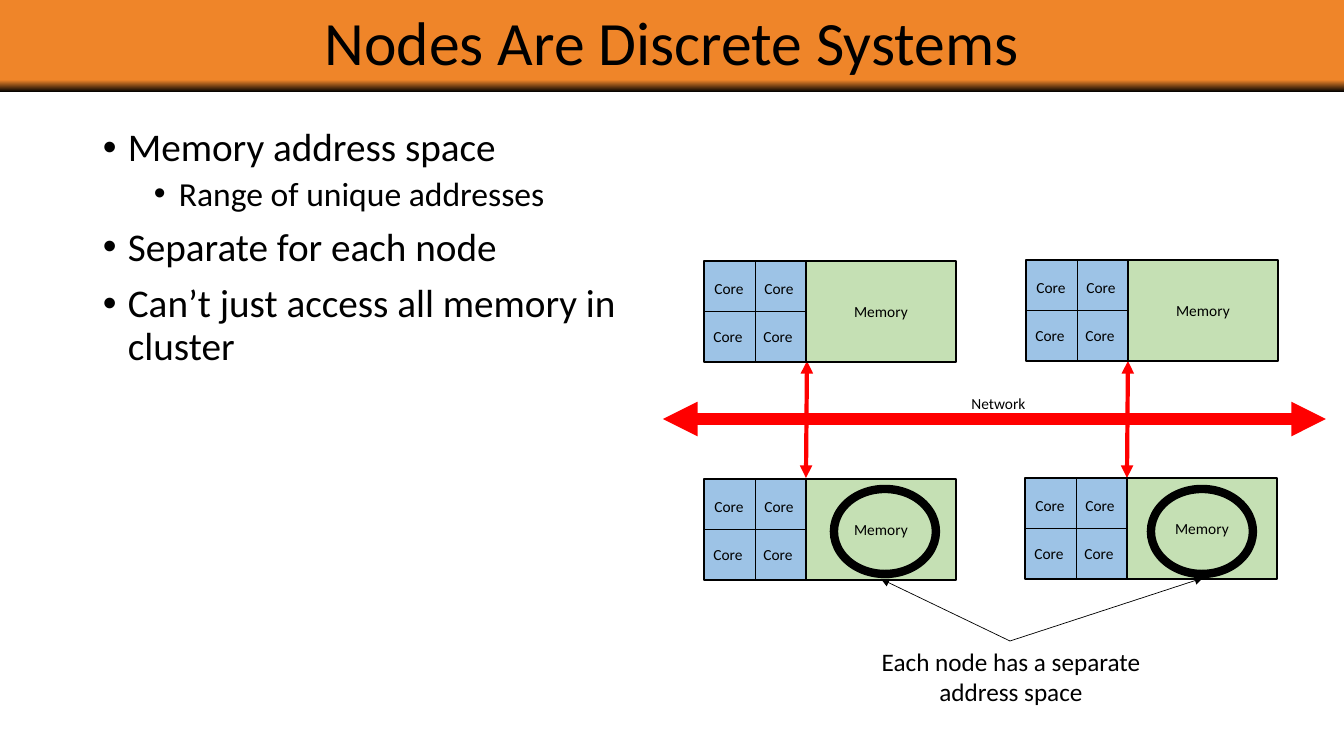
from dataclasses import dataclass

from lxml import etree
from pptx import Presentation
from pptx.dml.color import RGBColor
from pptx.enum.shapes import MSO_CONNECTOR, MSO_SHAPE
from pptx.enum.text import MSO_ANCHOR, MSO_AUTO_SIZE, PP_ALIGN
from pptx.oxml.ns import qn
from pptx.util import Emu, Pt

RECTANGLE, ELLIPSE = MSO_SHAPE.RECTANGLE, MSO_SHAPE.OVAL
STRAIGHT = MSO_CONNECTOR.STRAIGHT
CENTER, LEFT = PP_ALIGN.CENTER, PP_ALIGN.LEFT
TOP, MIDDLE = MSO_ANCHOR.TOP, MSO_ANCHOR.MIDDLE
NO_AUTOFIT = MSO_AUTO_SIZE.NONE

# Content
TITLE = "Nodes Are Discrete Systems"
BULLETS = [
    (0, "Memory address space"),
    (1, "Range of unique addresses"),
    (0, "Separate for each node"),
    (0, "Can’t just access all memory in cluster"),
]
CORE, MEMORY, NETWORK = "Core", "Memory", "Network"
CAPTION = "Each node has a separate address space"

# Geometry in px
SLIDE = (1344, 756)
BAND = (0, 0, 1344, 92)
BODY = (93, 123, 597, 558)
CAPTION_BOX = (846, 641, 330, 72)
NETWORK_BOX = (936, 387, 125, 32)
NODES = [(704, 261), (704, 479), (1025, 478), (1026, 260)]
CORES_WIDTH, MEMORY_WIDTH, NODE_HEIGHT = 102, 150, 101
CORE_LABEL = (50, 29)
CORE_LABEL_TOP, CORE_PITCH = 13, (50, 48)
NETWORK_LINKS = [((807, 361), (806, 478)), ((1128, 361), (1127, 478))]
BACKBONE = ((1326, 419), (663, 419))
CALLOUT_START = (1010, 641)
CALLOUT_ENDS = [(881, 579), (1203, 578)]
RINGS = [(834, 489, 102, 85), (1151, 489, 102, 85)]
BULLET_INDENTS, HANGING = (25, 76), 25


@dataclass(frozen=True)
class Theme:
    font: str = "Calibri"
    ink: str = "000000"
    band: str = "EF8529"
    cores: str = "9DC3E6"
    memory: str = "C5E0B4"
    network: str = "FF0000"
    title: int = 44
    bullets: tuple = (28, 24)
    bullet_gaps: tuple = (10, 5)
    caption: int = 18
    label: int = 11
    hairline: float = 0.5
    outline: float = 1
    link: float = 3
    ring: float = 6
    backbone: float = 8.25


THEME = Theme()


def px(length):
    return Emu(round(length * 914400 / 100.8))


def place(shape, area):
    shape.left, shape.top, shape.width, shape.height = map(px, area)


def format_spans(para, size):
    for span in para.runs:
        span.font.name = THEME.font
        span.font.size = Pt(size)
        span.font.color.rgb = RGBColor.from_string(THEME.ink)


def write(shape, text, size, anchor=TOP, margins=None, wrap=True):
    """Put one centred paragraph in a shape."""
    frame = shape.text_frame
    frame.text = text
    frame.word_wrap = wrap
    frame.auto_size = NO_AUTOFIT
    frame.vertical_anchor = anchor
    if margins:
        frame.margin_left = frame.margin_right = px(margins[0])
        frame.margin_top = frame.margin_bottom = px(margins[1])
    para = frame.paragraphs[0]
    para.alignment = CENTER
    format_spans(para, size)
    return para


def add_label(page, area, text, size, **options):
    write(page.shapes.add_textbox(*map(px, area)), text, size, **options)


def add_box(page, kind, area, fill, width):
    box = page.shapes.add_shape(kind, *map(px, area))
    box.shadow.inherit = False
    if fill:
        box.fill.solid()
        box.fill.fore_color.rgb = RGBColor.from_string(fill)
    else:
        box.fill.background()
    box.line.color.rgb = RGBColor.from_string(THEME.ink)
    box.line.width = Pt(width)
    return box


def add_line(page, start, end, color, width, arrows=()):
    """Draw a line; arrows names the ends, headEnd before tailEnd."""
    line = page.shapes.add_connector(STRAIGHT, *map(px, start + end))
    line.line.color.rgb = RGBColor.from_string(color)
    line.line.width = Pt(width)
    for arrow in arrows:
        etree.SubElement(line.line._get_or_add_ln(), qn(f"a:{arrow}"), type="triangle")
    etree.SubElement(line._element.spPr, qn("a:effectLst"))


def add_title(page):
    band = page.shapes.add_shape(RECTANGLE, *map(px, BAND))
    band.shadow.inherit = False
    band.line.fill.background()
    band.fill.gradient()
    band.fill.gradient_angle = 90
    stops = ((0, THEME.ink), (0.13, THEME.band))
    for stop, (position, color) in zip(band.fill.gradient_stops, stops):
        stop.position = position
        stop.color.rgb = RGBColor.from_string(color)
    title = page.shapes.title
    title._element.addprevious(band._element)
    place(title, BAND)
    write(title, TITLE, THEME.title, anchor=MIDDLE).line_spacing = 0.9


def add_bullets(page):
    frame = page.shapes.add_textbox(*map(px, BODY)).text_frame
    frame.word_wrap = True
    for index, (level, text) in enumerate(BULLETS):
        para = frame.add_paragraph() if index else frame.paragraphs[0]
        para.text = text
        para.level = level
        para.alignment = LEFT
        para.line_spacing = 0.9
        if index:
            para.space_before = Pt(THEME.bullet_gaps[level])
        properties = para._p.get_or_add_pPr()
        properties.set("marL", str(px(BULLET_INDENTS[level])))
        properties.set("indent", str(-px(HANGING)))
        etree.SubElement(properties, qn("a:buFont"), typeface="Arial")
        etree.SubElement(properties, qn("a:buChar"), char="•")
        format_spans(para, THEME.bullets[level])


def add_node(page, left, top):
    middle = left + CORES_WIDTH
    memory = add_box(page, RECTANGLE, (middle, top, MEMORY_WIDTH, NODE_HEIGHT),
                     THEME.memory, THEME.outline)
    write(memory, MEMORY, THEME.label, anchor=MIDDLE, margins=(7, 4))
    add_box(page, RECTANGLE, (left, top, CORES_WIDTH, NODE_HEIGHT),
            THEME.cores, THEME.outline)
    center_x, center_y = left + CORES_WIDTH // 2, top + NODE_HEIGHT // 2
    add_line(page, (center_x, top), (center_x, top + NODE_HEIGHT), THEME.ink, THEME.hairline)
    add_line(page, (middle, center_y), (left, center_y), THEME.ink, THEME.hairline)
    for row in range(2):
        for column in range(2):
            corner = (left + column * CORE_PITCH[0] - row,
                      top + CORE_LABEL_TOP + row * CORE_PITCH[1])
            add_label(page, corner + CORE_LABEL, CORE, THEME.label, wrap=False)


def add_cluster(page):
    both_ends = ("headEnd", "tailEnd")
    for start, end in NETWORK_LINKS:
        add_line(page, start, end, THEME.network, THEME.link, both_ends)
    add_line(page, *BACKBONE, THEME.network, THEME.backbone, both_ends)
    add_label(page, NETWORK_BOX, NETWORK, THEME.label, margins=(13, 7))
    for left, top in NODES:
        add_node(page, left, top)
    for end in CALLOUT_ENDS:
        add_line(page, CALLOUT_START, end, THEME.ink, THEME.hairline, ("tailEnd",))
    for area in RINGS:
        add_box(page, ELLIPSE, area, None, THEME.ring)


def main():
    deck = Presentation()
    deck.slide_width, deck.slide_height = map(px, SLIDE)
    page = deck.slides.add_slide(deck.slide_layouts[5])
    add_title(page)
    add_bullets(page)
    add_label(page, CAPTION_BOX, CAPTION, THEME.caption)
    add_cluster(page)
    deck.save("out.pptx")


if __name__ == "__main__":
    main()
